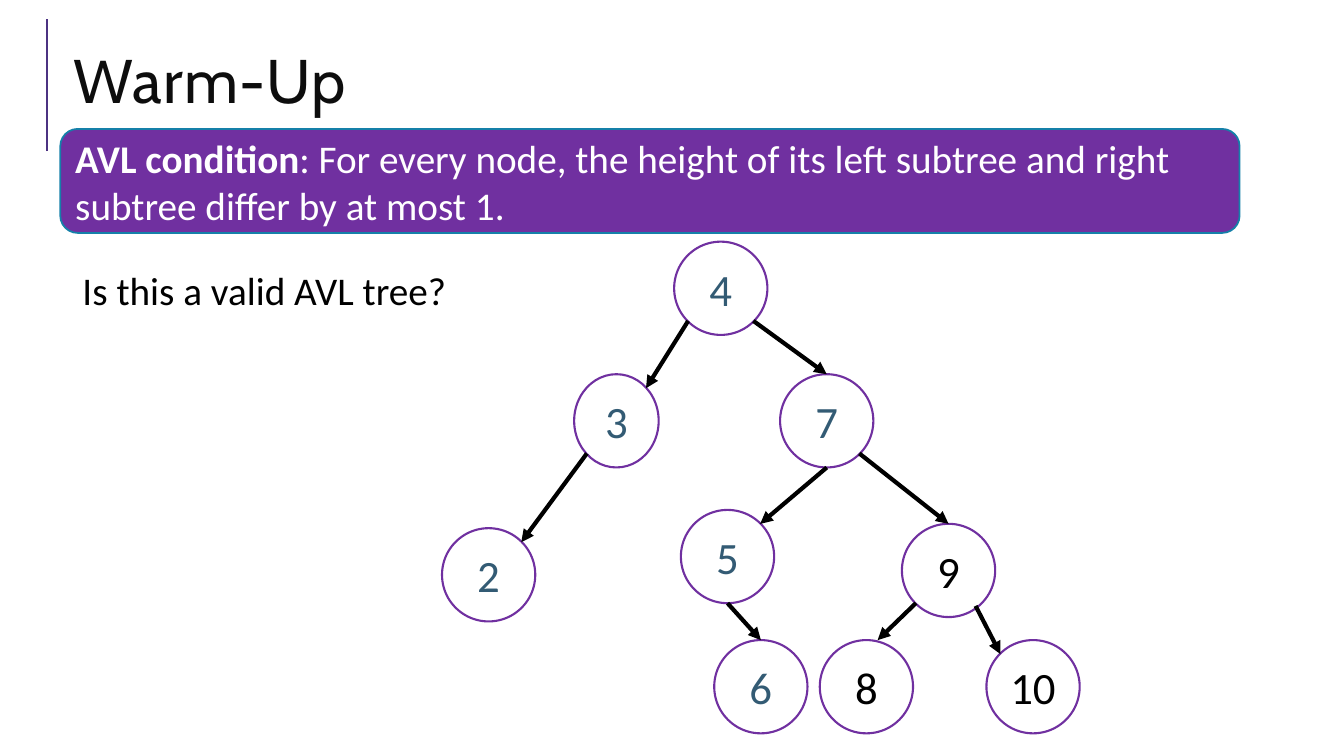
import pptx
import pptx.util
import pptx.dml.color
import pptx.enum.shapes
import pptx.enum.text
import pptx.oxml.ns
from lxml import etree

Cm = pptx.util.Cm
Pt = pptx.util.Pt
Shape = pptx.enum.shapes.MSO_SHAPE
Align = pptx.enum.text.PP_ALIGN
Anchor = pptx.enum.text.MSO_ANCHOR
qn = pptx.oxml.ns.qn

PURPLE = "7030A0"
BLACK = "000000"
SLATE = "335B74"
WHITE = "FFFFFF"
SIZE = 2.35

NODES = {
    "4": (16.99, 6.09, SIZE, SLATE),
    "5": (17.16, 12.85, SIZE, SLATE),
    "2": (11.14, 13.31, SIZE, SLATE),
    "7": (19.66, 9.43, SIZE, SLATE),
    "3": (14.47, 9.43, 2.13, SLATE),
    "9": (22.73, 13.2, SIZE, BLACK),
    "8": (20.66, 16.13, SIZE, BLACK),
    "10": (24.86, 16.13, SIZE, BLACK),
    "6": (18, 16.13, SIZE, SLATE),
}

TOP = (0.5, 0)
BOTTOM = (0.5, 1)
UP_LEFT = (0.15, 0.15)
UP_RIGHT = (0.85, 0.15)
LOW_LEFT = (0.15, 0.85)
LOW_RIGHT = (0.85, 0.85)

EDGES = [
    ("4", LOW_LEFT, "3", UP_RIGHT),
    ("4", LOW_RIGHT, "7", TOP),
    ("3", LOW_LEFT, "2", UP_RIGHT),
    ("7", BOTTOM, "5", UP_RIGHT),
    ("7", LOW_RIGHT, "9", TOP),
    ("9", (0.79, 0.88), "10", UP_LEFT),
    ("9", LOW_LEFT, "8", (0.62, 0)),
    ("5", BOTTOM, "6", TOP),
]


def color(text):
    return pptx.dml.color.RGBColor.from_string(text)


class Board:
    font = "Calibri"

    def __init__(self, slide):
        self.slide = slide
        self.shapes = slide.shapes

    def style(self, run, size, tint, font=None, bold=False):
        run.font.name = font or self.font
        run.font.size = Pt(size)
        run.font.bold = bold
        run.font.color.rgb = color(tint)

    def text(self, box, words, size, tint, font=None):
        box = self.shapes.add_textbox(*map(Cm, box))
        frame = box.text_frame
        frame.word_wrap = True
        frame.text = words
        self.style(frame.paragraphs[0].runs[0], size, tint, font)
        return frame

    def title(self, box, words):
        frame = self.text(box, words, 44, "0D0D0D", "Cabin")
        frame.vertical_anchor = Anchor.MIDDLE
        para = frame.paragraphs[0]
        para.line_spacing = 0.8
        para.runs[0].font._element.set("spc", "100")

    def shape(self, kind, box, fill, edge, width):
        shape = self.shapes.add_shape(kind, *map(Cm, box))
        shape.shadow.inherit = False
        shape.fill.solid()
        shape.fill.fore_color.rgb = color(fill)
        shape.line.color.rgb = color(edge)
        shape.line.width = Pt(width)
        shape.text_frame.vertical_anchor = Anchor.MIDDLE
        return shape

    def banner(self, box, term, rest):
        shape = self.shape(Shape.ROUNDED_RECTANGLE, box, PURPLE, "1580A9", 1.25)
        frame = shape.text_frame
        frame.word_wrap = True
        para = frame.paragraphs[0]
        para.alignment = Align.LEFT
        for words, bold in ((term, True), (rest, False)):
            run = para.add_run()
            run.text = words
            self.style(run, 28, WHITE, bold=bold)

    def node(self, key, left, top, width, tint):
        box = (left, top, width, SIZE)
        shape = self.shape(Shape.OVAL, box, WHITE, PURPLE, 1.5)
        frame = shape.text_frame
        frame.margin_left = frame.margin_right = 0
        frame.word_wrap = False
        frame.text = key
        para = frame.paragraphs[0]
        para.alignment = Align.CENTER
        self.style(para.runs[0], 32, tint)
        return shape

    def line(self, start, end, tint, width):
        kind = pptx.enum.shapes.MSO_CONNECTOR.STRAIGHT
        line = self.shapes.add_connector(kind, *start, *end)
        line.line.color.rgb = color(tint)
        line.line.width = Pt(width)
        etree.SubElement(line._element.spPr, qn("a:effectLst"))
        return line

    def arrow(self, first, begin, last, end):
        points = [
            (int(node.left + node.width * x), int(node.top + node.height * y))
            for node, (x, y) in ((first, begin), (last, end))
        ]
        line = self.line(*points, BLACK, 3)
        if end == TOP:
            line.end_connect(last, 0)
        tail = etree.SubElement(line.line._get_or_add_ln(), qn("a:tailEnd"))
        tail.set("type", "triangle")


def main():
    deck = pptx.Presentation()
    deck.slide_width = Cm(33.87)
    deck.slide_height = Cm(19.05)
    board = Board(deck.slides.add_slide(deck.slide_layouts[6]))

    board.line((Cm(1.19), Cm(3.81)), (Cm(1.19), Cm(0.48)), "4C3282", 1.5)
    board.title((1.6, 0.74, 31.06, 2.82), "Warm-Up")
    board.banner(
        (1.52, 3.25, 29.72, 2.62),
        "AVL condition",
        ": For every node, the height of its left subtree and right "
        "subtree differ by at most 1.",
    )
    board.text((1.83, 6.58, 29.77, 1.45), "Is this a valid AVL tree?", 28, BLACK)

    nodes = {key: board.node(key, *place) for key, place in NODES.items()}
    for first, begin, last, end in EDGES:
        board.arrow(nodes[first], begin, nodes[last], end)

    deck.save("out.pptx")


if __name__ == "__main__":
    main()
